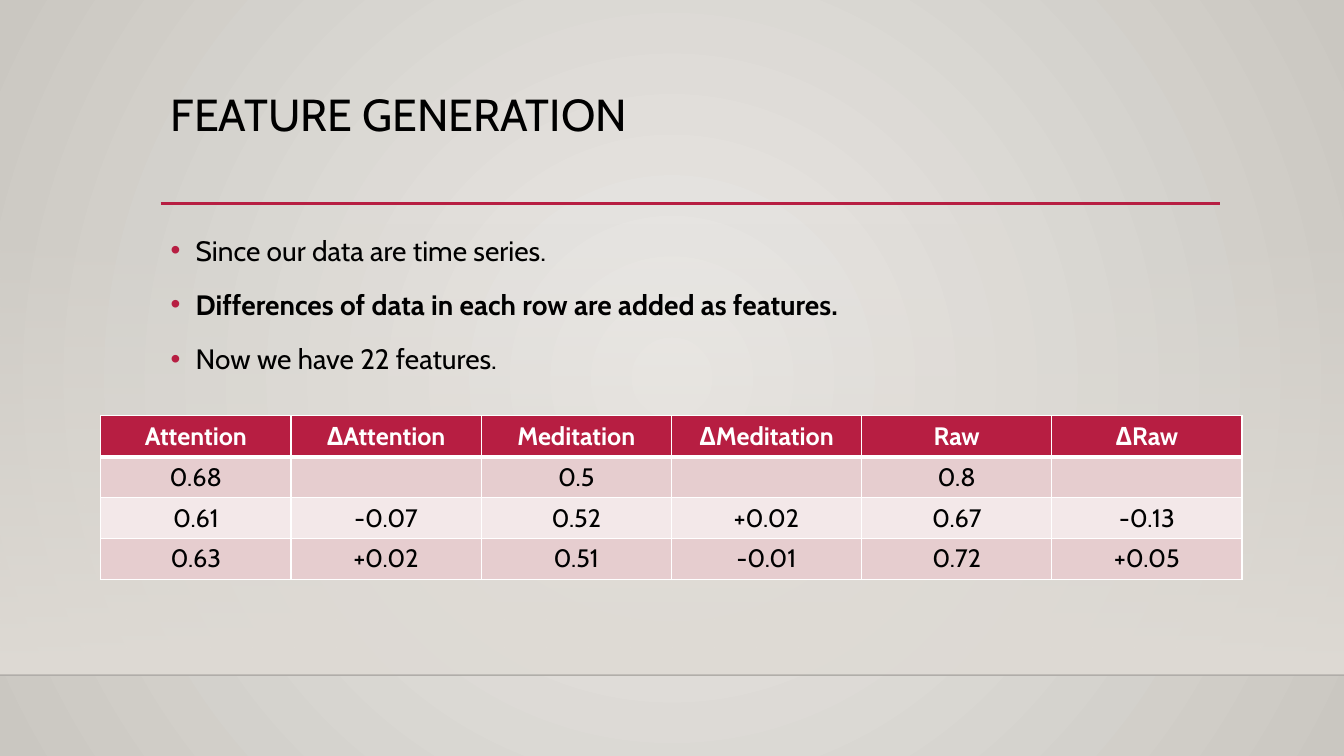
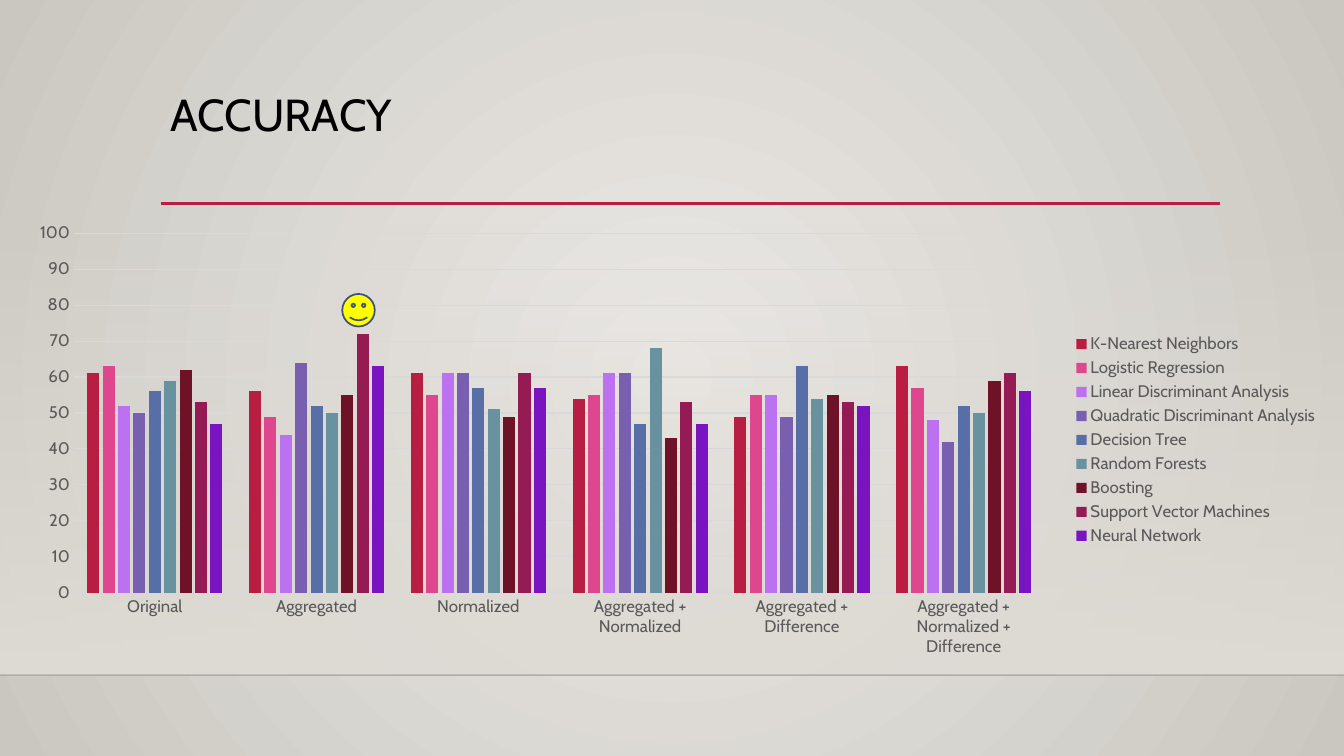
from dataclasses import dataclass

from lxml import etree
from pptx import Presentation
from pptx import util as u
from pptx.chart import data as chart_data
from pptx.dml import color
from pptx.enum import chart as ch
from pptx.enum import shapes, text
from pptx.oxml import ns

EMU_PER_PX = 9525
FONT = "Cabin"
ACCENT, BLACK, WHITE = "B71E42", "000000", "FFFFFF"
BAND, GRID, LABEL = "DFDBD5", "D9D9D9", "595959"
ROW_DARK, ROW_LIGHT = "E6CDCF", "F3E8E9"


@dataclass(frozen=True)
class Box:
    x: int
    y: int
    w: int
    h: int

    def emu(self) -> tuple:
        return px(self.x), px(self.y), px(self.w), px(self.h)


@dataclass(frozen=True)
class Rule:
    x1: int
    x2: int
    y: int
    color: str
    width: float
    opacity: int = 100


@dataclass(frozen=True)
class Bullet:
    text: str
    bold: bool = False


@dataclass(frozen=True)
class Series:
    name: str
    color: str
    values: tuple


PAGE = Box(0, 0, 1280, 720)
BAND_BOX = Box(0, 212, 1280, 431)
TITLE_BOX = Box(153, 84, 1008, 110)
RULES = (
    Rule(0, 1280, 643, "000001", 1, 20),
    Rule(153, 1162, 194, ACCENT, 2.5),
)

BODY_BOX = Box(153, 211, 1008, 362)
BULLET_INDENT = 24
BULLETS = (
    Bullet("Since our data are time series."),
    Bullet("Differences of data in each row are added as features.", True),
    Bullet("Now we have 22 features."),
)

TABLE_BOX = Box(96, 396, 1087, 156)
TABLE_ROWS = (
    ("Attention", "ΔAttention", "Meditation", "ΔMeditation", "Raw", "ΔRaw"),
    ("0.68", "", "0.5", "", "0.8", ""),
    ("0.61", "-0.07", "0.52", "+0.02", "0.67", "-0.13"),
    ("0.63", "+0.02", "0.51", "-0.01", "0.72", "+0.05"),
)

CHART_BOX = Box(13, 204, 1253, 430)
SMILEY_BOX = Box(326, 280, 31, 31)
CATEGORIES = (
    "Original",
    "Aggregated",
    "Normalized",
    "Aggregated + Normalized",
    "Aggregated + Difference",
    "Aggregated + Normalized + Difference",
)
SERIES = (
    Series("K-Nearest Neighbors", "B71E42", (61, 56, 61, 54, 49, 63)),
    Series("Logistic Regression", "DE478E", (63, 49, 55, 55, 55, 57)),
    Series("Linear Discriminant Analysis", "BC72F0", (52, 44, 61, 61, 55, 48)),
    Series("Quadratic Discriminant Analysis", "795FAF", (50, 64, 61, 61, 49, 42)),
    Series("Decision Tree", "586EA6", (56, 52, 57, 47, 63, 52)),
    Series("Random Forests", "6892A0", (59, 50, 51, 68, 54, 50)),
    Series("Boosting", "6E1228", (62, 55, 49, 43, 55, 59)),
    Series("Support Vector Machines", "951B54", (53, 72, 61, 53, 53, 61)),
    Series("Neural Network", "7914C0", (47, 63, 57, 47, 52, 56)),
)


def px(n: float) -> u.Emu:
    return u.Emu(round(n * EMU_PER_PX))


def rgb(value: str) -> color.RGBColor:
    return color.RGBColor.from_string(value)


def sub(parent, tag: str, **attrs):
    return etree.SubElement(parent, ns.qn(tag), {k: str(v) for k, v in attrs.items()})


def set_opacity(element, percent: int) -> None:
    sub(element.find(".//" + ns.qn("a:srgbClr")), "a:alpha", val=percent * 1000)


def set_font(font, size: float, hex_color: str, bold: bool = False) -> None:
    font.name, font.size, font.bold = FONT, u.Pt(size), bold
    font.color.rgb = rgb(hex_color)


def add_run(p, words: str, size: float, hex_color: str, bold: bool = False) -> None:
    r = p.add_run()
    r.text = words
    set_font(r.font, size, hex_color, bold)


def set_gradient(fill, first: str, last: str) -> None:
    fill.gradient()
    for stop, position, value in zip(fill.gradient_stops, (0, 1), (first, last)):
        stop.position = position
        stop.color.rgb = rgb(value)


def set_background(master) -> None:
    set_gradient(master.background.fill, "ECEAE7", "CAC7C1")
    grad = master.element.find(".//" + ns.qn("p:bg")).find(".//" + ns.qn("a:gradFill"))
    grad.remove(grad.find(ns.qn("a:lin")))
    circle = sub(grad, "a:path", path="circle")
    sub(circle, "a:fillToRect", l=50000, t=50000, r=50000, b=50000)


def add_band(s) -> None:
    sp = s.shapes.add_shape(shapes.MSO_SHAPE.RECTANGLE, *BAND_BOX.emu())
    sp.shadow.inherit = False
    sp.line.fill.background()
    set_gradient(sp.fill, BAND, BAND)
    sp.fill.gradient_angle = 270
    set_opacity(sp.element.spPr, 0)


def add_rule(s, rule: Rule) -> None:
    line = s.shapes.add_connector(
        shapes.MSO_CONNECTOR.STRAIGHT, px(rule.x1), px(rule.y), px(rule.x2), px(rule.y)
    )
    line.line.color.rgb = rgb(rule.color)
    line.line.width = u.Pt(rule.width)
    if rule.opacity < 100:
        set_opacity(line.element.spPr, rule.opacity)
    sub(line.element.spPr, "a:effectLst")


def add_slide(prs, title: str):
    s = prs.slides.add_slide(prs.slide_layouts[5])
    sp = s.shapes.title
    sp.left, sp.top, sp.width, sp.height = TITLE_BOX.emu()
    tf = sp.text_frame
    tf.auto_size = text.MSO_AUTO_SIZE.NONE
    tf.vertical_anchor = text.MSO_ANCHOR.TOP
    p = tf.paragraphs[0]
    p.alignment = text.PP_ALIGN.LEFT
    p.line_spacing = 0.9
    add_run(p, title, 32, BLACK)
    add_band(s)
    for rule in RULES:
        add_rule(s, rule)
    return s


def add_bullets(s, box: Box, bullets: tuple) -> None:
    tf = s.shapes.add_textbox(*box.emu()).text_frame
    tf.word_wrap = True
    for i, bullet in enumerate(bullets):
        p = tf.add_paragraph() if i else tf.paragraphs[0]
        p.line_spacing = 1.2
        p.space_before = u.Pt(10 if i else 0)
        props = p._p.get_or_add_pPr()
        props.set("marL", str(px(BULLET_INDENT)))
        props.set("indent", str(-px(BULLET_INDENT)))
        sub(sub(props, "a:buClr"), "a:srgbClr", val=ACCENT)
        sub(props, "a:buFont", typeface="Arial")
        sub(props, "a:buChar", char="•")
        add_run(p, bullet.text, 20, BLACK, bullet.bold)


def set_borders(cell, top: float, bottom: float) -> None:
    props = cell._tc.get_or_add_tcPr()
    sides = (("a:lnL", 1), ("a:lnR", 1), ("a:lnT", top), ("a:lnB", bottom))
    for i, (tag, width) in enumerate(sides):
        ln = etree.Element(ns.qn(tag), {"w": str(u.Pt(width))})
        sub(sub(ln, "a:solidFill"), "a:srgbClr", val=WHITE)
        props.insert(i, ln)


def add_feature_table(s, box: Box, rows: tuple) -> None:
    n_rows, n_cols = len(rows), len(rows[0])
    table = s.shapes.add_table(n_rows, n_cols, *box.emu()).table
    table.horz_banding = False
    for column in table.columns:
        column.width = px(box.w / n_cols)
    for i, words in enumerate(rows):
        table.rows[i].height = px(box.h / n_rows)
        header = i == 0
        fill = ACCENT if header else (ROW_LIGHT, ROW_DARK)[i % 2]
        for cell, word in zip(table.rows[i].cells, words):
            cell.fill.solid()
            cell.fill.fore_color.rgb = rgb(fill)
            set_borders(cell, 3 if i == 1 else 1, 3 if header else 1)
            if word:
                p = cell.text_frame.paragraphs[0]
                p.alignment = text.PP_ALIGN.CENTER
                add_run(p, word, 18, WHITE if header else BLACK, header)


def add_accuracy_chart(s, box: Box) -> None:
    data = chart_data.CategoryChartData()
    data.categories = CATEGORIES
    for item in SERIES:
        data.add_series(item.name, item.values)
    chart = s.shapes.add_chart(ch.XL_CHART_TYPE.COLUMN_CLUSTERED, *box.emu(), data).chart
    set_font(chart.font, 10, BLACK)
    chart.has_title = False
    chart.has_legend = True
    chart.legend.position = ch.XL_LEGEND_POSITION.RIGHT
    chart.legend.include_in_layout = False
    set_font(chart.legend.font, 12, LABEL)

    plot = chart.plots[0]
    plot.vary_by_categories = False
    plot.gap_width, plot.overlap = 219, -27
    for series, item in zip(plot.series, SERIES):
        series.invert_if_negative = False
        series.format.fill.solid()
        series.format.fill.fore_color.rgb = rgb(item.color)

    cats, vals = chart.category_axis, chart.value_axis
    for axis in (cats, vals):
        axis.major_tick_mark = axis.minor_tick_mark = ch.XL_TICK_MARK.NONE
        set_font(axis.tick_labels.font, 12, LABEL)
    vals.minimum_scale, vals.maximum_scale, vals.major_unit = 0, 100, 10
    vals.tick_labels.number_format = "General"
    vals.tick_labels.number_format_is_linked = False
    vals.format.line.fill.background()
    for line in (cats.format.line, vals.major_gridlines.format.line):
        line.color.rgb = rgb(GRID)
        line.width = u.Pt(0.75)


def add_smiley(s, box: Box) -> None:
    sp = s.shapes.add_shape(shapes.MSO_SHAPE.SMILEY_FACE, *box.emu())
    sp.shadow.inherit = False
    sp.fill.solid()
    sp.fill.fore_color.rgb = rgb("FFFF00")
    sp.line.color.rgb = rgb("41517B")
    sp.line.width = u.Pt(1.25)


def main() -> None:
    prs = Presentation()
    prs.slide_width, prs.slide_height = px(PAGE.w), px(PAGE.h)
    set_background(prs.slide_master)

    s = add_slide(prs, "FEATURE GENERATION")
    add_bullets(s, BODY_BOX, BULLETS)
    add_feature_table(s, TABLE_BOX, TABLE_ROWS)

    s = add_slide(prs, "ACCURACY")
    add_accuracy_chart(s, CHART_BOX)
    add_smiley(s, SMILEY_BOX)

    prs.save("out.pptx")


if __name__ == "__main__":
    main()
